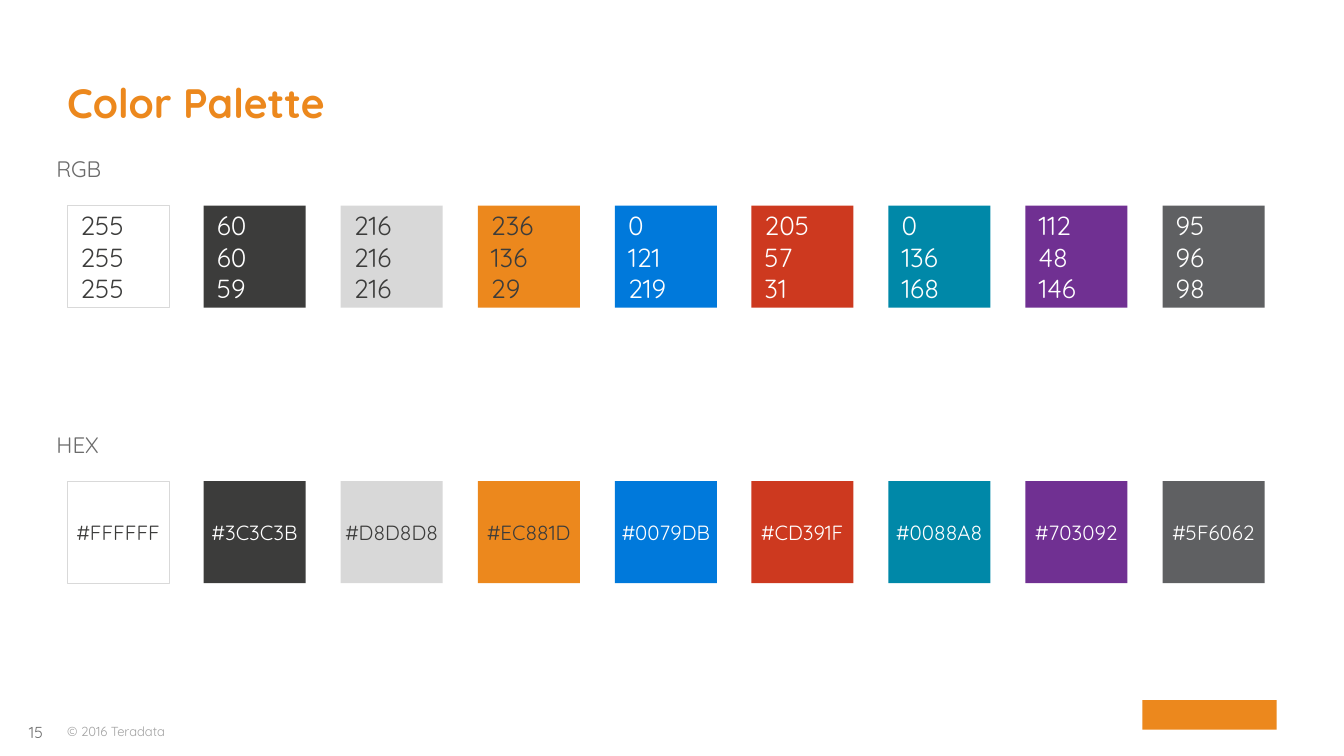
from pptx import Presentation
from pptx.dml.color import RGBColor
from pptx.enum.shapes import MSO_SHAPE as Shape
from pptx.enum.text import MSO_ANCHOR as Anchor, PP_ALIGN as Align
from pptx.util import Pt

PX = 4572  # 200 px to the inch
FONT = "Quicksand"
ORANGE, DARK, WHITE = "EC881D", "3C3C3B", "FFFFFF"
EDGE, GREY, PALE = "D9D9D9", "6C6C6C", "A2A2A2"
SWATCHES = [WHITE, DARK, "D8D8D8", ORANGE, "0079DB",
            "CD391F", "0088A8", "703092", "5F6062"]
LEFT, LAST, SIDE = 100, 1730, 152  # first and last swatch x, swatch size


def color(code):
    return RGBColor.from_string(code)


def assign(obj, values):
    for name, value in values.items():
        setattr(obj, name, value)


def ink(code):
    """Pick the text colour that reads on the given fill."""
    red, green, blue = color(code)
    light = 0.3 * red + 0.59 * green + 0.11 * blue > 128
    return DARK if light else WHITE


class Deck:
    def __init__(self, wide, high):
        self.prs = Presentation()
        assign(self.prs, {"slide_width": wide * PX, "slide_height": high * PX})
        self.slide = self.prs.slides.add_slide(self.prs.slide_layouts[6])

    def letter(self, shape, lines, size, code, bold=False, align=Align.LEFT,
               space=1.0, anchor=Anchor.TOP, pad=(0, 0), wrap=True):
        """Fill a shape with styled lines of text."""
        frame = shape.text_frame
        across, down = (gap * PX for gap in pad)
        assign(frame, {"word_wrap": wrap, "vertical_anchor": anchor,
                       "margin_left": across, "margin_right": across,
                       "margin_top": down, "margin_bottom": down})
        frame.text = "\n".join(lines)
        for para in frame.paragraphs:
            assign(para, {"alignment": align, "line_spacing": space})
            for run in para.runs:
                assign(run.font, {"name": FONT, "size": Pt(size), "bold": bold})
                run.font.color.rgb = color(code)

    def label(self, box, text, size, code, **style):
        shape = self.slide.shapes.add_textbox(*(n * PX for n in box))
        self.letter(shape, [text], size, code, **style)

    def block(self, box, fill, edge=None):
        shape = self.slide.shapes.add_shape(
            Shape.RECTANGLE, *(n * PX for n in box))
        shape.shadow.inherit = False
        shape.fill.solid()
        shape.fill.fore_color.rgb = color(fill)
        if edge:
            shape.line.color.rgb = color(edge)
            shape.line.width = Pt(0.25)
        else:
            shape.line.fill.background()
        return shape

    def row(self, top, name, lines, **style):
        """Draw a heading and its swatches; lines(code) gives their text."""
        for i, code in enumerate(SWATCHES):
            x = LEFT + i * (LAST - LEFT) // (len(SWATCHES) - 1)
            edge = EDGE if code == WHITE else None
            shape = self.block((x, top, SIDE, SIDE), code, edge)
            self.letter(shape, lines(code), code=ink(code),
                        anchor=Anchor.MIDDLE, **style)
        self.label((84, top - 72, 336, 38), name, 12, GREY, space=0.95)


def main():
    deck = Deck(2000, 1125)
    deck.label((34, 1076, 30, 28), "15", 8.5, GREY,
               align=Align.RIGHT, wrap=False)
    deck.block((1700, 1042, 200, 44), ORANGE)
    deck.label((LEFT, 36, 1800, 154), "Color Palette", 22, ORANGE,
               bold=True, space=0.95, anchor=Anchor.BOTTOM)
    deck.row(306, "RGB", lambda code: [str(n) for n in color(code)],
             size=14, pad=(20, 10))
    deck.row(716, "HEX", lambda code: ["#" + code],
             size=11, align=Align.CENTER)
    deck.label((LEFT, 1076, 368, 24), "© 2016 Teradata", 7, PALE,
               anchor=Anchor.MIDDLE)
    deck.prs.save("out.pptx")


if __name__ == "__main__":
    main()
